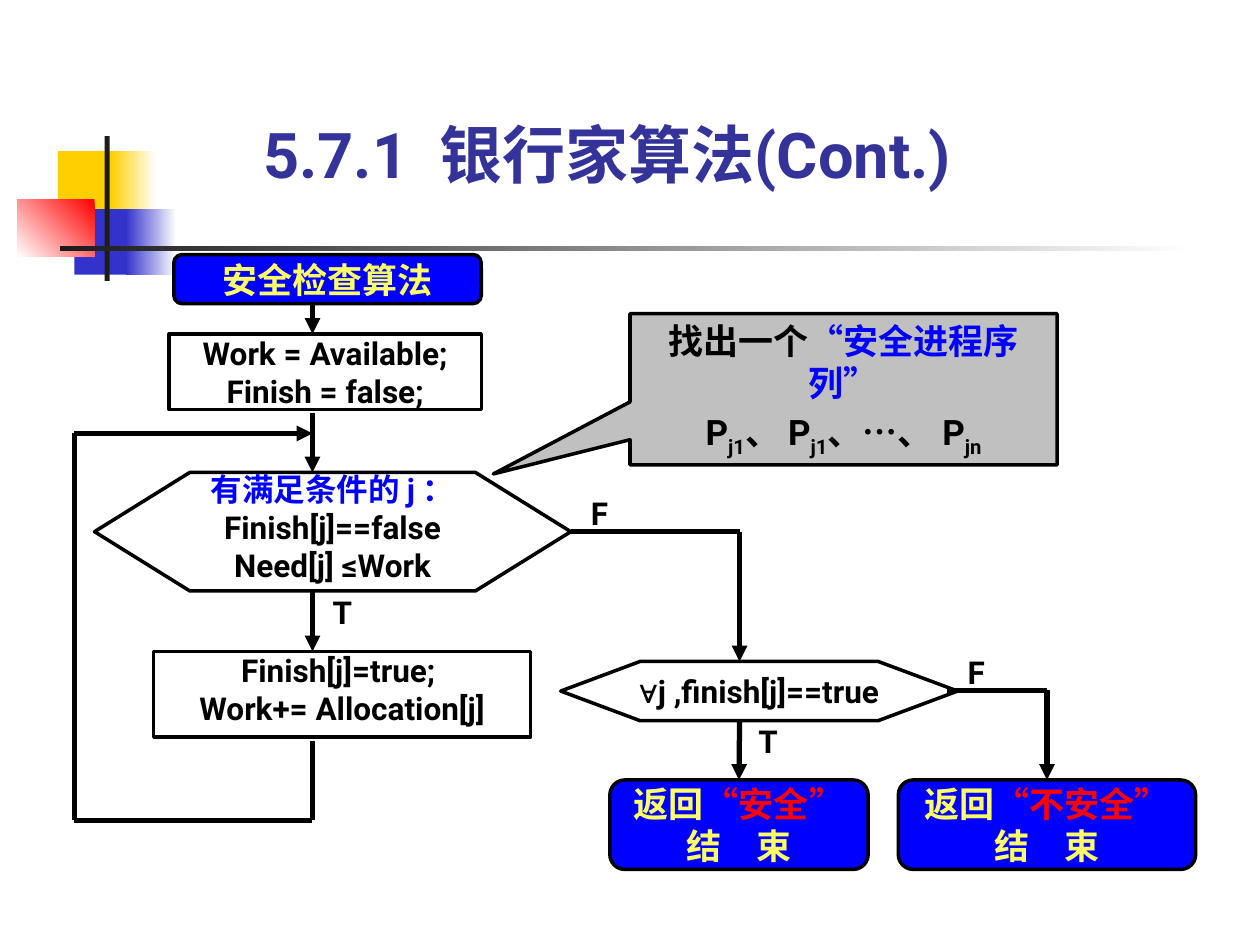
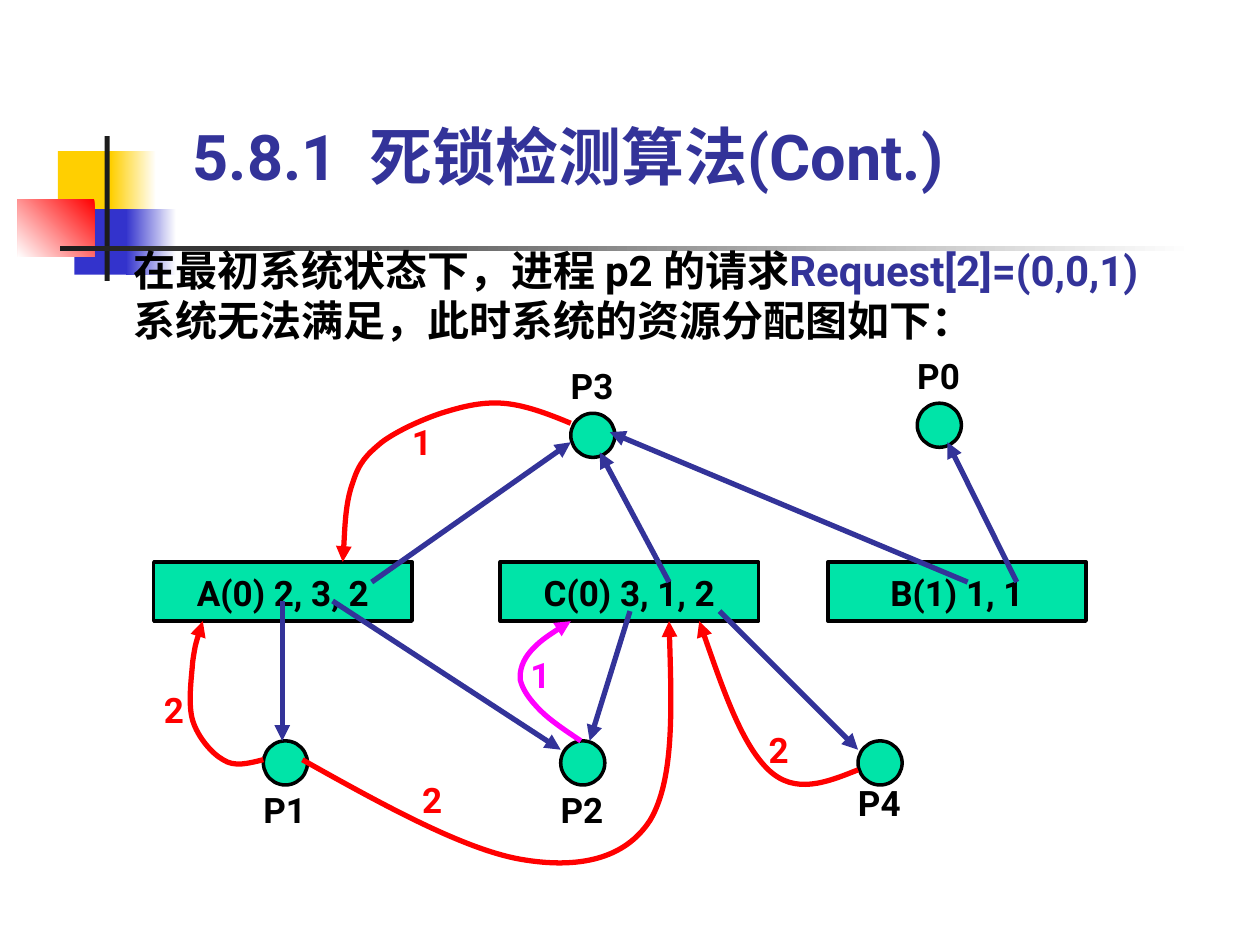
"""Build two slides: the banker's safety check flowchart and a deadlock resource graph."""
from lxml.etree import SubElement
from pptx import Presentation
from pptx.dml.color import RGBColor
from pptx.enum.shapes import MSO_CONNECTOR, MSO_SHAPE as SHAPE
from pptx.enum.text import MSO_ANCHOR as ANCHOR, PP_ALIGN as ALIGN
from pptx.oxml.ns import qn
from pptx.util import Inches, Pt

FONT = "Roboto"
BLACK = RGBColor(0x00, 0x00, 0x00)
WHITE = RGBColor(0xFF, 0xFF, 0xFF)
BLUE = RGBColor(0x00, 0x00, 0xFF)
RED = RGBColor(0xFF, 0x00, 0x00)
MAGENTA = RGBColor(0xFF, 0x00, 0xFF)
YELLOW = RGBColor(0xFF, 0xFF, 0x66)
GRAY = RGBColor(0xC0, 0xC0, 0xC0)
GREEN = RGBColor(0x00, 0xE4, 0xA8)
NAVY = RGBColor(0x33, 0x33, 0x99)
GOLD = RGBColor(0xFF, 0xCF, 0x01)
INDIGO = RGBColor(0x33, 0x33, 0xCC)
CHARCOAL = RGBColor(0x1C, 0x1C, 0x1C)


def add_box(slide, kind, place, paragraphs, size=18, fill=None, anchor=ANCHOR.TOP,
            insets=(0, 0, 0, 0), wrap=True, spacing=None):
    left, top, width, height = map(Inches, place)
    if kind == "title":
        shape = slide.shapes.title
        shape.left, shape.top, shape.width, shape.height = left, top, width, height
    elif kind is None:
        shape = slide.shapes.add_textbox(left, top, width, height)
    else:
        shape = slide.shapes.add_shape(kind, left, top, width, height)
        shape.shadow.inherit = False
        shape.line.color.rgb = BLACK
        shape.line.width = Pt(2)
        if fill is None:
            shape.fill.background()
        else:
            shape.fill.solid()
            shape.fill.fore_color.rgb = fill
    frame = shape.text_frame
    frame.word_wrap = wrap
    frame.vertical_anchor = anchor
    frame.margin_left, frame.margin_top, frame.margin_right, frame.margin_bottom = map(Inches, insets)
    for index, runs in enumerate(paragraphs):
        paragraph = frame.add_paragraph() if index else frame.paragraphs[0]
        paragraph.alignment = ALIGN.LEFT if kind in (None, "title") else ALIGN.CENTER
        paragraph.line_spacing = spacing
        for text, color, *options in runs:
            option = options[0] if options else {}
            run = paragraph.add_run()
            run.text = text
            run.font.name = option.get("font", FONT)
            run.font.size = Pt(option.get("size", size))
            run.font.bold = option.get("bold", True)
            run.font.color.rgb = color
            for attribute in ("baseline", "spc"):
                if attribute in option:
                    run._r.get_or_add_rPr().set(attribute, option[attribute])
    return shape


def style_line(shape, color, arrow=True):
    shape.line.color.rgb = color
    shape.line.width = Pt(3)
    properties = shape._element.spPr
    if arrow:
        SubElement(properties.find(qn("a:ln")), qn("a:tailEnd")).set("type", "triangle")
    SubElement(properties, qn("a:effectLst"))


presentation = Presentation()
presentation.slide_width = Inches(10)
presentation.slide_height = Inches(7.5)

BAND = [
    ((0.46, 1.2, 0.48, 0.52), [GOLD], 0),
    ((0.88, 1.2, 0.36, 0.52), [WHITE, GOLD], 180),
    ((0.59, 1.66, 0.46, 0.52), [INDIGO], 0),
    ((1, 1.66, 0.4, 0.52), [WHITE, INDIGO], 180),
    ((0.14, 1.58, 0.61, 0.46), [RED, WHITE], 225),
    ((0.83, 1.08, 0.04, 1.15), [CHARCOAL], 0),
    ((0.48, 1.95, 9, 0.04), [WHITE, CHARCOAL], 180),
]
TITLES = [
    ("5.7.1", "银行家算法(Cont.)", (2.09, 0.92, 6.38, 0.6)),
    ("5.8.1", "死锁检测算法(Cont.)", (1.53, 0.93, 6.62, 0.6)),
]
slides = []
for number, topic, place in TITLES:
    slide = presentation.slides.add_slide(presentation.slide_layouts[5])
    slides.append(slide)
    for band_place, colors, angle in BAND:
        block = slide.shapes.add_shape(SHAPE.RECTANGLE, *map(Inches, band_place))
        block.shadow.inherit = False
        block.line.fill.background()
        if len(colors) == 1:
            block.fill.solid()
            block.fill.fore_color.rgb = colors[0]
        else:
            block.fill.gradient()
            block.fill.gradient_angle = angle
            for stop, color in zip(block.fill.gradient_stops, colors):
                stop.color.rgb = color
    add_box(slide, "title", place,
            [[(number, NAVY), (" ", NAVY, {"spc": "900"}), (topic, NAVY)]],
            36, anchor=ANCHOR.BOTTOM)

flowchart, graph = slides

add_box(flowchart, SHAPE.FLOWCHART_ALTERNATE_PROCESS, (1.38, 2.02, 2.44, 0.39),
        [[("安全检查算法", YELLOW)]], 20, BLUE, ANCHOR.MIDDLE, (0, 0.16, 0, 0.16), False)
add_box(flowchart, SHAPE.RECTANGLE, (1.34, 2.65, 2.48, 0.6),
        [[("Work = Available;", BLACK)], [("Finish = false;", BLACK)]])
candidate_test = add_box(
    flowchart, SHAPE.FLOWCHART_PREPARATION, (0.75, 3.75, 3.78, 0.94),
    [[("有满足条件的 j ：", BLUE)], [("Finish[j]==false", BLACK)], [("Need[j] ≤Work", BLACK)]],
    anchor=ANCHOR.MIDDLE, insets=(0, 0, 0, 0.08), wrap=False)
add_box(flowchart, SHAPE.RECTANGLE, (1.22, 5.17, 2.99, 0.68),
        [[("Finish[j]=true; ", BLACK)], [("Work+= Allocation[j]", BLACK)]],
        insets=(0, 0, 0, 0.08))
add_box(flowchart, SHAPE.FLOWCHART_PREPARATION, (4.45, 5.25, 3.15, 0.47),
        [[("∀", BLACK, {"font": "Arial"}), ("j ,finish[j]==true", BLACK)]],
        anchor=ANCHOR.MIDDLE, wrap=False)
results = []
for verdict, left, width in [("“安全”", 4.84, 2.05), ("“不安全”", 7.13, 2.36)]:
    results.append(add_box(
        flowchart, SHAPE.FLOWCHART_ALTERNATE_PROCESS, (left, 6.19, width, 0.71),
        [[("返回", YELLOW), (verdict, RED)],
         [("结", YELLOW), (" ", YELLOW, {"spc": "1500"}), ("束", YELLOW)]],
        20, BLUE, ANCHOR.MIDDLE, wrap=False))
safe_result, unsafe_result = results

FLOW_LINES = [
    ((2.48, 2.41), (2.48, 2.65), True, None, None),
    ((2.48, 3.28), (2.48, 3.75), True, None, None),
    ((2.48, 4.69), (2.48, 5.17), True, None, None),
    ((2.48, 5.88), (2.48, 6.51), False, None, None),
    ((2.48, 6.51), (0.59, 6.51), False, None, None),
    ((0.59, 6.51), (0.59, 3.44), False, None, None),
    ((0.59, 3.44), (2.48, 3.44), True, None, None),
    ((4.53, 4.22), (5.87, 4.22), False, candidate_test, None),
    ((5.87, 4.22), (5.87, 5.25), True, None, None),
    ((5.87, 5.72), (5.87, 6.19), True, None, safe_result),
    ((7.52, 5.48), (8.31, 5.48), False, None, None),
    ((8.31, 5.48), (8.31, 6.19), True, None, unsafe_result),
]
for start, end, arrow, source, target in FLOW_LINES:
    connector = flowchart.shapes.add_connector(MSO_CONNECTOR.STRAIGHT, *map(Inches, start + end))
    if source:
        connector.begin_connect(source, 3)
    if target:
        connector.end_connect(target, 0)
    style_line(connector, BLACK, arrow)

for branch, left, top in [("F", 7.68, 5.18), ("F", 4.69, 3.92), ("T", 6.02, 5.73), ("T", 2.64, 4.71)]:
    add_box(flowchart, None, (left, top, 0.16, 0.3), [[(branch, BLACK)]])

SUBSCRIPT = {"baseline": "-25000"}
callout = add_box(
    flowchart, SHAPE.RECTANGULAR_CALLOUT, (5, 2.49, 3.39, 1.2),
    [[("找出一个", BLACK), ("“安全进程序列”", BLUE)],
     [("P", BLACK), ("j1", BLACK, SUBSCRIPT), ("、 P", BLACK), ("j1", BLACK, SUBSCRIPT),
      ("、…、", BLACK), (" ", BLACK, {"size": 24, "bold": False}), ("P", BLACK),
      ("jn", BLACK, SUBSCRIPT)]],
    20, GRAY, insets=(0.1, 0.05, 0.1, 0.05))
callout.adjustments[0] = -0.82
callout.adjustments[1] = 0.56

add_box(graph, None, (1.06, 1.94, 8.35, 0.8),
        [[("在最初系统状态下，进程 p2 的请求", BLACK), ("Request[2]=(0,0,1) ", NAVY),
          ("系统无法满足，此时系统的资源分配图如下：", BLACK)]], 24)

for resource, left in [("A(0) 2, 3, 2", 1.22), ("B(1) 1, 1", 6.57), ("C(0) 3, 1, 2", 3.97)]:
    add_box(graph, SHAPE.RECTANGLE, (left, 4.46, 2.05, 0.47), [[(resource, BLACK)]],
            20, GREEN, insets=(0.08, 0.08, 0.08, 0))

PROCESSES = [
    ("P1", 2.09, 5.88, 6.32),
    ("P4", 6.81, 5.88, 6.27),
    ("P3", 4.53, 3.28, 2.96),
    ("P0", 7.28, 3.2, 2.88),
    ("P2", 4.45, 5.88, 6.32),
]
for process, left, top, label_top in PROCESSES:
    add_box(graph, SHAPE.OVAL, (left, top, 0.35, 0.35), [], fill=GREEN)
    add_box(graph, None, (left, label_top, 0.47, 0.27), [[(process, BLACK)]], 20, spacing=0.8)

ALLOCATIONS = [
    (8.07, 4.62, 7.52, 3.51),
    (2.24, 4.77, 2.24, 5.88),
    (2.64, 4.77, 4.45, 5.95),
    (5, 4.85, 4.68, 5.88),
    (2.95, 4.62, 4.53, 3.51),
    (7.68, 4.62, 4.84, 3.43),
    (5.31, 4.62, 4.76, 3.59),
    (5.71, 4.85, 6.81, 5.95),
]
for ends in ALLOCATIONS:
    style_line(graph.shapes.add_connector(MSO_CONNECTOR.STRAIGHT, *map(Inches, ends)), NAVY)

REQUESTS = [
    (RED, [(2.09, 6.03),
           (1.97, 6.06), (1.86, 6.09), (1.77, 6.03), (1.68, 5.98), (1.57, 5.85), (1.53, 5.72),
           (1.49, 5.59), (1.52, 5.38), (1.53, 5.25), (1.55, 5.11), (1.58, 5.02), (1.61, 4.93)]),
    (MAGENTA, [(4.61, 5.88),
               (4.49, 5.8), (4.37, 5.72), (4.29, 5.64), (4.21, 5.56), (4.15, 5.48), (4.13, 5.4),
               (4.12, 5.32), (4.15, 5.24), (4.21, 5.17), (4.28, 5.09), (4.4, 5.01), (4.53, 4.93)]),
    (RED, [(4.53, 3.36),
           (4.34, 3.28), (4.15, 3.21), (3.98, 3.2), (3.81, 3.19), (3.66, 3.23), (3.5, 3.28),
           (3.35, 3.33), (3.15, 3.42), (3.03, 3.51), (2.91, 3.61), (2.85, 3.67), (2.8, 3.83),
           (2.74, 3.99), (2.73, 4.35), (2.72, 4.46)]),
    (RED, [(2.4, 6.03),
           (3.04, 6.39), (3.68, 6.74), (4.13, 6.82), (4.59, 6.9), (4.96, 6.82), (5.16, 6.51),
           (5.35, 6.19), (5.33, 5.56), (5.31, 4.93)]),
    (RED, [(6.81, 6.11),
           (6.56, 6.21), (6.31, 6.31), (6.1, 6.11), (5.89, 5.91), (5.72, 5.42), (5.55, 4.93)]),
]
for color, points in REQUESTS:
    start, *controls = [tuple(map(Inches, point)) for point in points]
    builder = graph.shapes.build_freeform(*start)
    builder.add_line_segments(controls, close=False)
    curve = builder.convert_to_shape()
    outline = next(curve._element.iter(qn("a:path")))
    segments = outline.findall(qn("a:lnTo"))
    for first in range(0, len(segments), 3):
        bezier = SubElement(outline, qn("a:cubicBezTo"))
        for segment in segments[first:first + 3]:
            bezier.append(segment[0])
            outline.remove(segment)
    curve.fill.background()
    style_line(curve, color)

COUNTS = [("2", RED, 1.3, 5.53), ("2", RED, 3.35, 6.24), ("1", MAGENTA, 4.21, 5.25),
          ("1", RED, 3.27, 3.4), ("2", RED, 6.1, 5.85)]
for count, color, left, top in COUNTS:
    add_box(graph, None, (left, top, 0.24, 0.27), [[(count, color)]], 20, spacing=0.8)

presentation.save("out.pptx")
